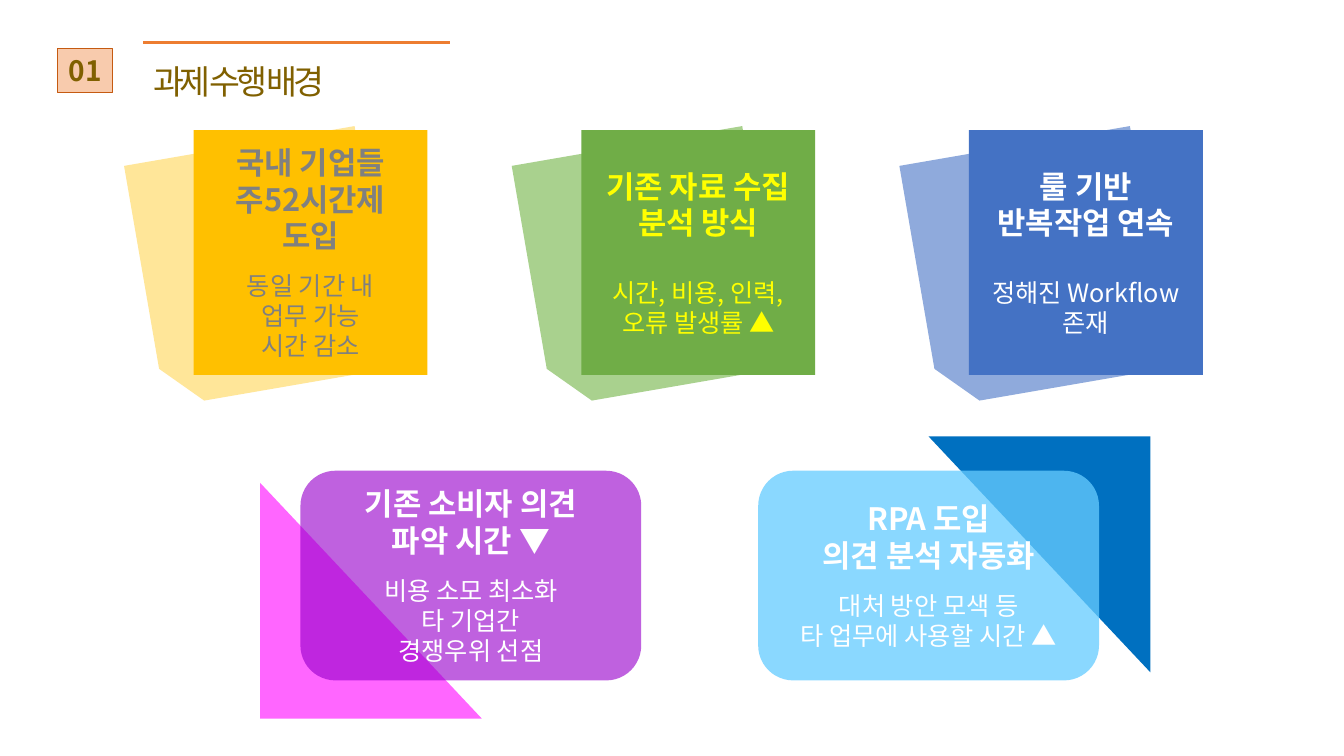
import pptx
import pptx.util
import pptx.dml.color
import pptx.enum.shapes
import pptx.enum.text
from lxml import etree
from pptx.oxml.ns import qn

Inches = pptx.util.Inches
Pt = pptx.util.Pt
RGBColor = pptx.dml.color.RGBColor
SHAPE = pptx.enum.shapes.MSO_SHAPE
ANCHOR = pptx.enum.text.MSO_ANCHOR

WHITE = RGBColor(0xFF, 0xFF, 0xFF)
YELLOW = RGBColor(0xFF, 0xFF, 0x00)
GRAY = RGBColor(0x80, 0x80, 0x80)
BROWN = RGBColor(0x80, 0x60, 0x00)
ORANGE = RGBColor(0xED, 0x7D, 0x31)
DARK_ORANGE = RGBColor(0xC5, 0x5A, 0x11)
PEACH = RGBColor(0xF8, 0xCB, 0xAD)
GOLD = RGBColor(0xFF, 0xC0, 0x00)
LIGHT_GOLD = RGBColor(0xFF, 0xE6, 0x99)
GREEN = RGBColor(0x70, 0xAD, 0x47)
LIGHT_GREEN = RGBColor(0xA9, 0xD1, 0x8E)
BLUE = RGBColor(0x44, 0x72, 0xC4)
LIGHT_BLUE = RGBColor(0x8F, 0xAA, 0xDC)
PINK = RGBColor(0xFF, 0x66, 0xFF)
PURPLE = RGBColor(0x99, 0x00, 0xCC)
DEEP_BLUE = RGBColor(0x00, 0x70, 0xC0)
SKY_BLUE = RGBColor(0x66, 0xCC, 0xFF)

FONT = "Noto Sans CJK KR"
LINE_HEIGHTS = {22: 26, 20: 24, 18: 21.5}

# heading lines, detail lines, gap between them in points, fill, backdrop, text colour
CARDS = [
    (["국내 기업들", "주52시간제", "도입"], ["동일 기간 내", "업무 가능", "시간 감소"],
     12, GOLD, LIGHT_GOLD, GRAY),
    (["기존 자료 수집 분석 방식"], ["시간, 비용, 인력,", "오류 발생률 ▲"],
     26, GREEN, LIGHT_GREEN, YELLOW),
    (["룰 기반", "반복작업 연속"], ["정해진 Workflow 존재"],
     26, BLUE, LIGHT_BLUE, WHITE),
]


def add_filled_shape(slide, kind, left, top, width, height, color, rotation=0):
    shape = slide.shapes.add_shape(
        kind, Inches(left), Inches(top), Inches(width), Inches(height))
    shape.shadow.inherit = False
    shape.fill.solid()
    shape.fill.fore_color.rgb = color
    shape.line.fill.background()
    shape.rotation = rotation
    return shape


def set_opacity(shape, percent):
    color = shape.fill._xPr.find(qn("a:solidFill"))[0]
    etree.SubElement(color, qn("a:alpha")).set("val", str(percent * 1000))


def format_paragraph(paragraph, size, color, bold):
    """Centre a line and set its font for Latin and Korean letters."""
    paragraph.alignment = pptx.enum.text.PP_ALIGN.CENTER
    paragraph.line_spacing = Pt(LINE_HEIGHTS[size])
    for run in paragraph.runs:
        run.font.name = FONT
        run.font.size = Pt(size)
        run.font.bold = bold
        run.font.color.rgb = color
        properties = run.font._element
        etree.SubElement(properties, qn("a:ea")).set("typeface", FONT)


def write_message(shape, heading, details, gap, color):
    """Write bold heading lines, a gap, then lighter detail lines."""
    frame = shape.text_frame
    frame.word_wrap = True
    frame.vertical_anchor = ANCHOR.MIDDLE
    frame.text = "\n".join(heading + details)
    for index, paragraph in enumerate(frame.paragraphs):
        is_heading = index < len(heading)
        format_paragraph(paragraph, 22 if is_heading else 18, color, is_heading)
    frame.paragraphs[len(heading)].space_before = Pt(gap)


def add_header(slide):
    rule = slide.shapes.add_connector(
        pptx.enum.shapes.MSO_CONNECTOR.STRAIGHT,
        Inches(1.42), Inches(0.42), Inches(4.46), Inches(0.42))
    rule.line.color.rgb = ORANGE
    rule.line.width = Pt(2.25)
    etree.SubElement(rule._element.spPr, qn("a:effectLst"))

    title = slide.shapes.add_textbox(Inches(1.42), Inches(0.56), Inches(2.2), Inches(0.5))
    title.text_frame.word_wrap = False
    title.text_frame.text = "과제 수행 배경"
    font = title.text_frame.paragraphs[0].runs[0].font
    font.name = "Arial"
    font.size = Pt(24)
    font.color.rgb = BROWN
    font._element.set("spc", "-300")

    number = add_filled_shape(slide, SHAPE.RECTANGLE, 0.57, 0.48, 0.55, 0.44, PEACH)
    number.line.color.rgb = DARK_ORANGE
    number.line.width = Pt(0.75)
    number.text_frame.vertical_anchor = ANCHOR.TOP
    number.text_frame.text = "01"
    format_paragraph(number.text_frame.paragraphs[0], 20, BROWN, True)


def add_card(slide, left, heading, details, gap, fill, backdrop, color):
    """Add a square card in front of a tilted sheet."""
    add_filled_shape(slide, SHAPE.SNIP_1_RECTANGLE, left - 0.5, 1.43, 2.32, 2.43,
                     backdrop, 170.2)
    card = add_filled_shape(slide, SHAPE.RECTANGLE, left, 1.29, 2.32, 2.43, fill)
    write_message(card, heading, details, gap, color)


def add_result(slide, left, heading, details, fill, opacity, triangle):
    """Add a see-through panel over a triangle (left, top, colour, rotation)."""
    triangle_left, triangle_top, triangle_color, rotation = triangle
    add_filled_shape(slide, SHAPE.RIGHT_TRIANGLE, triangle_left, triangle_top, 2.2, 2.34,
                     triangle_color, rotation)
    panel = add_filled_shape(slide, SHAPE.ROUNDED_RECTANGLE, left, 4.67, 3.38, 2.08, fill)
    set_opacity(panel, opacity)
    write_message(panel, heading, details, 12, WHITE)


def main():
    presentation = pptx.Presentation()
    presentation.slide_width = Inches(13.33)
    presentation.slide_height = Inches(7.5)
    slide = presentation.slides.add_slide(presentation.slide_layouts[6])

    add_header(slide)
    for index, card in enumerate(CARDS):
        add_card(slide, 1.92 + 3.845 * index, *card)
    add_result(slide, 2.98, ["기존 소비자 의견", "파악 시간 ▼"],
               ["비용 소모 최소화", "타 기업간", "경쟁우위 선점"],
               PURPLE, 62, (2.58, 4.79, PINK, 0))
    add_result(slide, 7.52, ["RPA 도입", "의견 분석 자동화"],
               ["대처 방안 모색 등", "타 업무에 사용할 시간 ▲"],
               SKY_BLUE, 76, (9.21, 4.33, DEEP_BLUE, 180))

    presentation.save("out.pptx")


if __name__ == "__main__":
    main()
